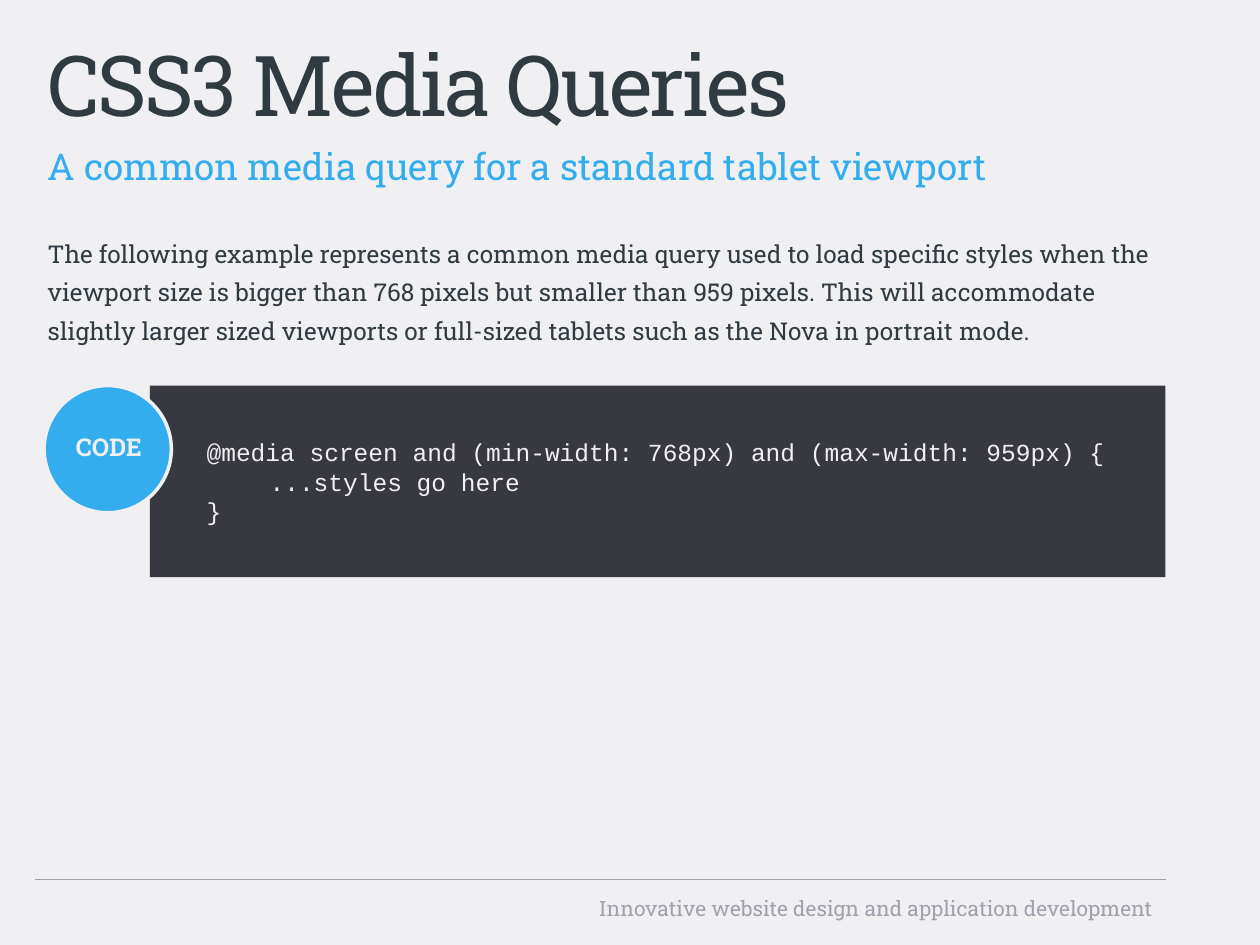
from pptx import Presentation
from pptx import util as u
from pptx.dml.color import RGBColor
from pptx.enum import shapes, text
from lxml import etree

PAPER = RGBColor(0xF0, 0xF0, 0xF2)
INK = RGBColor(0x30, 0x3B, 0x41)
BLUE = RGBColor(0x34, 0xAD, 0xEF)
GREY = RGBColor(0xA1, 0xA1, 0xAD)
PANEL = RGBColor(0x38, 0x38, 0x41)
SLAB = "Roboto Slab"
MONO = "Courier New"
LEFT = 20.16
RIGHT = 666


class Sheet:
    def __init__(self, page):
        self.page = page
        fill = page.background.fill
        fill.solid()
        fill.fore_color.rgb = PAPER

    def typeset(self, frame, lines, size, color, font=SLAB, align=text.PP_ALIGN.LEFT,
                bold=False, leading=None):
        frame.word_wrap = True
        for number, line in enumerate(lines):
            para = frame.paragraphs[0] if number == 0 else frame.add_paragraph()
            para.text = line
            para.alignment = align
            para.line_spacing = leading
            para.font.name = font
            para.font.size = u.Pt(size)
            para.font.color.rgb = color
            para.font.bold = bold

    def label(self, place, line, size, color, **style):
        box = self.page.shapes.add_textbox(*map(u.Pt, place))
        self.typeset(box.text_frame, [line], size, color, **style)
        return box

    def block(self, kind, place, color, outline=None):
        shape = self.page.shapes.add_shape(kind, *map(u.Pt, place))
        shape.shadow.inherit = False
        shape.fill.solid()
        shape.fill.fore_color.rgb = color
        if outline is None:
            shape.line.fill.background()
        else:
            shape.line.color.rgb = outline
            shape.line.width = u.Pt(2)
        return shape

    def code(self, place, lines):
        panel = self.block(shapes.MSO_SHAPE.RECTANGLE, place, PANEL)
        frame = panel.text_frame
        frame.vertical_anchor = text.MSO_ANCHOR.MIDDLE
        frame.margin_left, frame.margin_right = u.Pt(32.4), u.Pt(7.92)
        frame.margin_top = frame.margin_bottom = u.Pt(4.32)
        self.typeset(frame, lines, 14, PAPER, font=MONO)

    def rule(self, left, right, top):
        line = self.page.shapes.add_connector(
            shapes.MSO_CONNECTOR.STRAIGHT, *map(u.Pt, (left, top, right, top)))
        line.line.color.rgb = GREY
        line.line.width = u.Pt(0.75)
        namespace = "{http://schemas.openxmlformats.org/drawingml/2006/main}"
        etree.SubElement(line._element.spPr, namespace + "effectLst")


deck = Presentation()
deck.slide_width, deck.slide_height = u.Pt(720), u.Pt(540)
sheet = Sheet(deck.slides.add_slide(deck.slide_layouts[6]))

sheet.label((320.4, 508.32, 345.6, 22.32),
            "Innovative website design and application development",
            12, GREY, align=text.PP_ALIGN.RIGHT)
sheet.rule(LEFT, RIGHT, 502.56)

title = sheet.label((LEFT, 15.12, 635.04, 56.88), "CSS3 Media Queries", 48, INK)
title.text_frame.paragraphs[0].runs[0]._r.get_or_add_rPr().set("spc", "-150")
sheet.label((LEFT, 71.28, 635.04, 28.08),
            "A common media query for a standard tablet viewport", 21, BLUE, leading=1.3)
sheet.label((LEFT, 128.16, 663.12, 368.64),
            "The following example represents a common media query used to load specific "
            "styles when the viewport size is bigger than 768 pixels but smaller than 959 "
            "pixels. This will accommodate slightly larger sized viewports or full-sized "
            "tablets such as the Nova in portrait mode.", 14, INK, leading=1.3)

sheet.code((85.68, 220.32, 580.32, 109.44),
           ["@media screen and (min-width: 768px) and (max-width: 959px) {",
            "\t...styles go here\v}"])
sheet.block(shapes.MSO_SHAPE.OVAL, (25.2, 220.32, 72.72, 72.72), BLUE, PAPER)
sheet.label((30.96, 243.36, 62.64, 24.48), "CODE", 14, PAPER,
            align=text.PP_ALIGN.CENTER, bold=True)

deck.save("out.pptx")
